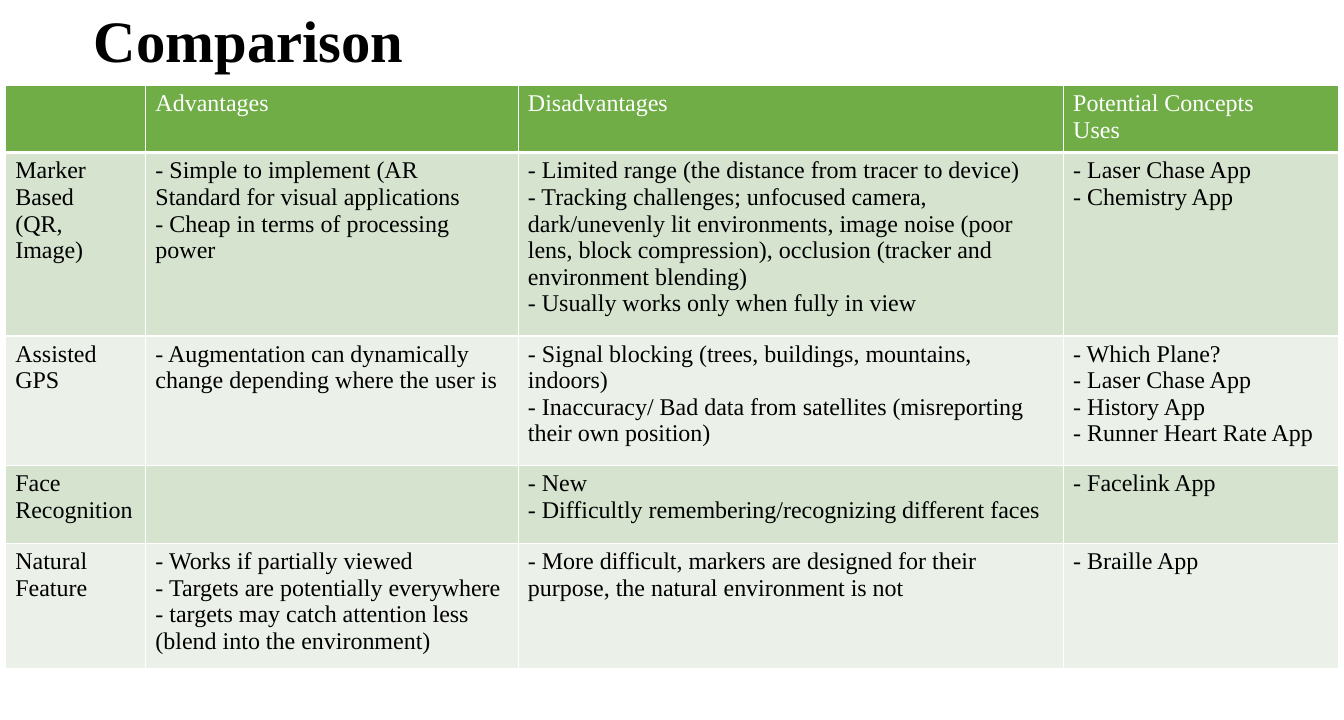
from lxml.etree import SubElement
from pptx import Presentation
from pptx.dml.color import RGBColor
from pptx.enum.text import MSO_ANCHOR
from pptx.oxml.ns import qn
from pptx.util import Inches, Pt

THEME = {
    "header": RGBColor.from_string("70AD47"),
    "bands": [RGBColor.from_string("D5E3CF"), RGBColor.from_string("EBF1E9")],
    "black": RGBColor.from_string("000000"),
    "white": RGBColor.from_string("FFFFFF"),
    "title_font": {"name": "Times New Roman", "size": Pt(44), "bold": True},
    "table_font": {"name": "Times New Roman", "size": Pt(18), "bold": False},
    "thin_line": Pt(1),
    "thick_line": Pt(3),
}

COLUMN_WIDTHS = [1.46, 3.88, 5.68, 2.86]
ROW_HEIGHTS = [0.65, 1.91, 1.35, 0.81, 1.21]

# Each cell is a list of paragraphs
ROWS = [
    [[], ["Advantages"], ["Disadvantages"], ["Potential Concepts", "Uses"]],
    [
        ["Marker Based", "(QR, Image)"],
        ["- Simple to implement (AR Standard for visual applications",
         "- Cheap in terms of processing power"],
        ["- Limited range (the distance from tracer to device)",
         "- Tracking challenges; unfocused camera, dark/unevenly lit environments, "
         "image noise (poor lens, block compression), occlusion (tracker and "
         "environment blending)",
         "- Usually works only when fully in view"],
        ["- Laser Chase App", "- Chemistry App"],
    ],
    [
        ["Assisted GPS"],
        ["- Augmentation can dynamically change depending where the user is"],
        ["- Signal blocking (trees, buildings, mountains, indoors)",
         "- Inaccuracy/ Bad data from satellites (misreporting their own position)"],
        ["- Which Plane?", "- Laser Chase App", "- History App",
         "- Runner Heart Rate App"],
    ],
    [
        ["Face Recognition"],
        [],
        ["- New", "- Difficultly remembering/recognizing different faces"],
        ["- Facelink App"],
    ],
    [
        ["Natural Feature"],
        ["- Works if partially viewed",
         "- Targets are potentially everywhere",
         "- targets may catch attention less (blend into the environment)"],
        ["- More difficult, markers are designed for their purpose, "
         "the natural environment is not"],
        ["- Braille App"],
    ],
]


def write_paragraphs(frame, lines, font_values, color):
    for index, line in enumerate(lines):
        para = frame.add_paragraph() if index else frame.paragraphs[0]
        span = para.add_run()
        span.text = line
        for attribute, value in font_values.items():
            setattr(span.font, attribute, value)
        span.font.color.rgb = color


def set_borders(cell, widths):
    properties = cell._tc.get_or_add_tcPr()
    for position, (side, width) in enumerate(widths.items()):
        line = properties.makeelement(qn(f"a:{side}"), {"w": str(width)})
        fill = SubElement(line, qn("a:solidFill"))
        SubElement(fill, qn("a:srgbClr"), val=str(THEME["white"]))
        properties.insert(position, line)  # borders come before the fill


# Page
deck = Presentation()
deck.slide_width, deck.slide_height = Inches(14), Inches(7.5)
page = deck.slides.add_slide(deck.slide_layouts[6])

# Title
title_box = page.shapes.add_textbox(Inches(0.88), Inches(-0.01), Inches(12.07), Inches(0.93))
title_box.text_frame.word_wrap = True
title_box.text_frame.vertical_anchor = MSO_ANCHOR.MIDDLE
write_paragraphs(title_box.text_frame, ["Comparison"], THEME["title_font"], THEME["black"])
title_box.text_frame.paragraphs[0].line_spacing = 0.9

# Table grid
table = page.shapes.add_table(
    len(ROWS), len(COLUMN_WIDTHS), Inches(0.06), Inches(0.89),
    Inches(sum(COLUMN_WIDTHS)), Inches(sum(ROW_HEIGHTS)),
).table
for column, width in zip(table.columns, COLUMN_WIDTHS):
    column.width = Inches(width)
for row, height in zip(table.rows, ROW_HEIGHTS):
    row.height = Inches(height)

# Table cells: green header, then alternating bands
for row_index, row_cells in enumerate(ROWS):
    is_header = row_index == 0
    fill_color = THEME["header"] if is_header else THEME["bands"][(row_index - 1) % 2]
    text_color = THEME["white"] if is_header else THEME["black"]
    borders = dict.fromkeys(["lnL", "lnR", "lnT", "lnB"], THEME["thin_line"])
    if is_header:
        borders["lnB"] = THEME["thick_line"]
    elif row_index == 1:
        borders["lnT"] = THEME["thick_line"]
    for column_index, lines in enumerate(row_cells):
        cell = table.cell(row_index, column_index)
        cell.fill.solid()
        cell.fill.fore_color.rgb = fill_color
        set_borders(cell, borders)
        write_paragraphs(cell.text_frame, lines, THEME["table_font"], text_color)

deck.save("out.pptx")
